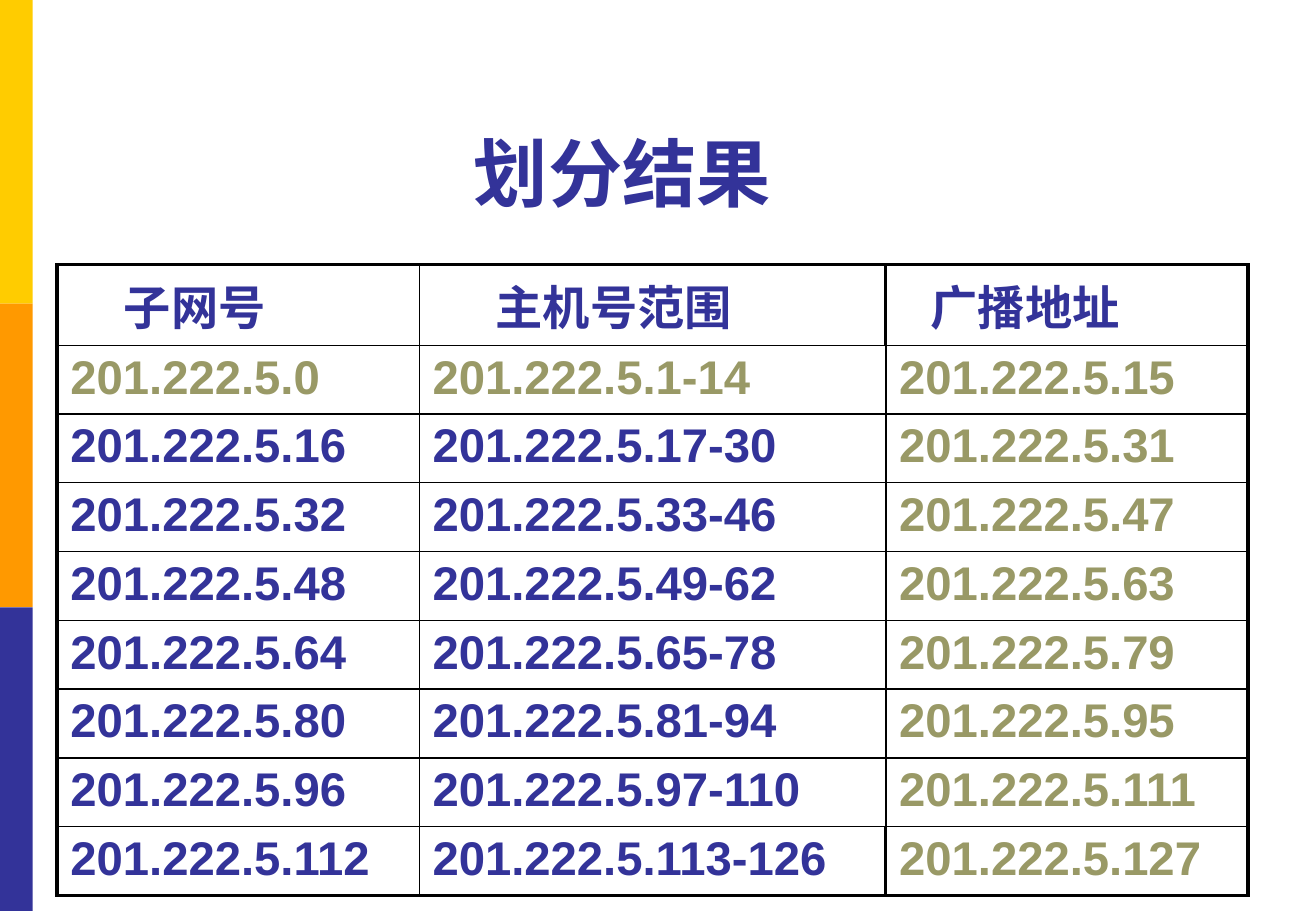
from dataclasses import dataclass

import pptx
import pptx.dml.color
import pptx.enum.shapes
import pptx.enum.text
import pptx.oxml.ns
import pptx.slide
import pptx.table
import pptx.text.text
import pptx.util
from lxml import etree

Inches = pptx.util.Inches
Pt = pptx.util.Pt


@dataclass(frozen=True)
class Theme:
    font: str = "Arial"
    blue: str = "333399"
    olive: str = "999966"
    gold: str = "FFCC00"
    orange: str = "FF9900"
    line: str = "000000"
    title: float = 44
    body: float = 28
    thin: float = 1
    thick: float = 2.25


@dataclass(frozen=True)
class Column:
    head: str
    indent: float
    width: float


THEME = Theme()
COLUMNS = (
    Column("子网号", 0.44, 2.98),
    Column("主机号范围", 0.52, 3.84),
    Column("广播地址", 0.26, 2.98),
)
NET = "201.222.5."
STEP = 16
SUBNETS = 8
TABLE_HEIGHT = 5.16
HEAD_HEIGHT = 0.63


def rgb(color: str) -> pptx.dml.color.RGBColor:
    return pptx.dml.color.RGBColor.from_string(color)


def write(frame: pptx.text.text.TextFrame, text: str, *, size: float = THEME.body,
          color: str = THEME.blue, bold: bool = True) -> None:
    para = frame.paragraphs[0]
    para.alignment = pptx.enum.text.PP_ALIGN.LEFT
    run = para.add_run()
    run.text = text
    run.font.name = THEME.font
    run.font.size = Pt(size)
    run.font.bold = bold
    run.font.color.rgb = rgb(color)


def border(cell: pptx.table._Cell, sides: dict[str, float]) -> None:
    """Draw the cell's sides, keyed L, R, T, B, in points."""
    props = cell._tc.get_or_add_tcPr()
    tag = pptx.oxml.ns.qn
    for side, width in sides.items():
        line = etree.SubElement(props, tag(f"a:ln{side}"), w=str(Pt(width)))
        fill = etree.SubElement(line, tag("a:solidFill"))
        etree.SubElement(fill, tag("a:srgbClr"), val=THEME.line)


def add_bars(slide: pptx.slide.Slide) -> None:
    height = 2.5
    for index, color in enumerate((THEME.gold, THEME.orange, THEME.blue)):
        bar = slide.shapes.add_shape(
            pptx.enum.shapes.MSO_SHAPE.RECTANGLE,
            Inches(0), Inches(index * height), Inches(0.27), Inches(height))
        bar.shadow.inherit = False
        bar.fill.solid()
        bar.fill.fore_color.rgb = rgb(color)
        bar.line.fill.background()


def add_title(slide: pptx.slide.Slide) -> None:
    title = slide.shapes.title
    title.left, title.top = Inches(3.8), Inches(0.91)
    title.width, title.height = Inches(3.03), Inches(0.92)
    title.text_frame.vertical_anchor = pptx.enum.text.MSO_ANCHOR.BOTTOM
    write(title.text_frame, "划分结果", size=THEME.title)


def make_rows() -> list[tuple[str, ...]]:
    """List the headings, then each subnet's address, hosts and broadcast."""
    rows = [tuple(column.head for column in COLUMNS)]
    for base in range(0, SUBNETS * STEP, STEP):
        last = base + STEP - 1
        rows.append((f"{NET}{base}", f"{NET}{base + 1}-{last - 1}", f"{NET}{last}"))
    return rows


def add_grid(slide: pptx.slide.Slide) -> None:
    rows = make_rows()
    width = sum(column.width for column in COLUMNS)
    frame = slide.shapes.add_table(
        len(rows), len(COLUMNS), Inches(0.47), Inches(2.18),
        Inches(width), Inches(TABLE_HEIGHT))
    table = frame.table
    table.first_row = table.horz_banding = False
    for index, column in enumerate(COLUMNS):
        table.columns[index].width = Inches(column.width)
    for r, texts in enumerate(rows):
        head, foot = r == 0, r == SUBNETS
        height = HEAD_HEIGHT if head else (TABLE_HEIGHT - HEAD_HEIGHT) / SUBNETS
        table.rows[r].height = Inches(height)
        split = THEME.thick if head or foot else THEME.thin
        walls = (THEME.thick, THEME.thin, split, THEME.thick)
        for c, text in enumerate(texts):
            cell = table.cell(r, c)
            indent = COLUMNS[c].indent if head else 0
            cell.margin_left = Inches(0.11 + indent)
            cell.margin_right = Inches(0.11)
            cell.margin_top = cell.margin_bottom = Inches(0.05)
            border(cell, {
                "L": walls[c],
                "R": walls[c + 1],
                "T": THEME.thick if head else THEME.thin,
                "B": THEME.thick if foot else THEME.thin,
            })
            cell.fill.background()
            muted = r == 1 or (c == 2 and not head)
            write(cell.text_frame, text, color=THEME.olive if muted else THEME.blue)


def main() -> None:
    deck = pptx.Presentation()
    deck.slide_width, deck.slide_height = Inches(10.83), Inches(7.5)
    slide = deck.slides.add_slide(deck.slide_layouts[5])
    add_bars(slide)
    add_title(slide)
    add_grid(slide)
    deck.save("out.pptx")


if __name__ == "__main__":
    main()
